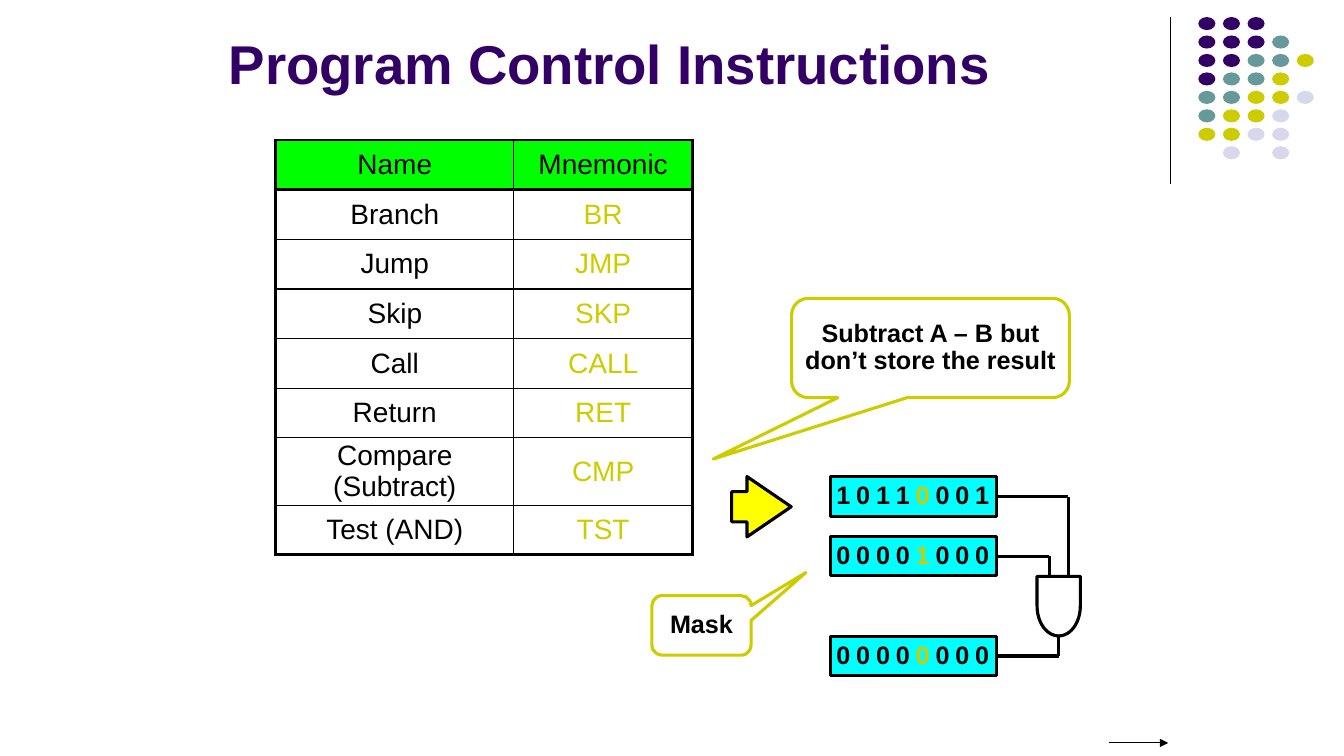
from itertools import pairwise

from lxml.etree import SubElement
from pptx import Presentation
from pptx.dml.color import RGBColor
from pptx.enum.shapes import MSO_CONNECTOR, MSO_SHAPE as Shape
from pptx.enum.text import MSO_ANCHOR as Anchor, PP_ALIGN as Align
from pptx.oxml.ns import qn
from pptx.util import Cm, Pt

COLORS = {
    "purple": "330066", "teal": "669999", "olive": "CCCC00", "pale": "D8D8EC",
    "black": "000000", "green": "00FF00", "cyan": "00FFFF", "yellow": "FFFF00",
}
DOT_ROWS = ["PPP", "PPPT", "PPTTO", "PTTO", "TTOOL", "TOOL", "OOLL", " L L"]
DOT_COLORS = {"P": "purple", "T": "teal", "O": "olive", "L": "pale"}
INSTRUCTIONS = [
    ("Name", "Mnemonic"), ("Branch", "BR"), ("Jump", "JMP"), ("Skip", "SKP"),
    ("Call", "CALL"), ("Return", "RET"), ("Compare (Subtract)", "CMP"), ("Test (AND)", "TST"),
]
TABLE_FONT = {"name": "Arial", "size": Pt(20), "bold": False}
LABEL_FONT = {"name": "Arial", "size": Pt(18), "bold": True}
TITLE_FONT = {"name": "Arial", "size": Pt(39), "bold": True}
THICK, THIN = 2.25, 1
TESTED_BIT = 4


def rgb(name):
    return RGBColor.from_string(COLORS[name])


def write(frame, text, font, color="black", align=Align.CENTER, spacing=None):
    """Fill a text frame with one paragraph."""
    paragraph = frame.paragraphs[0]
    paragraph.text = text
    paragraph.alignment = align
    paragraph.line_spacing = spacing
    for name, value in font.items():
        setattr(paragraph.font, name, value)
    paragraph.font.color.rgb = rgb(color)


def clear_margins(target):
    for side in ("left", "top", "right", "bottom"):
        setattr(target, f"margin_{side}", 0)


def add_figure(shapes, kind, box, fill=None, line=None, adjustments=()):
    """Add a preset shape; box is left, top, width, height in cm."""
    shape = shapes.add_shape(kind, *map(Cm, box))
    shape.shadow.inherit = False
    for index, value in enumerate(adjustments):
        shape.adjustments[index] = value
    if fill:
        shape.fill.solid()
        shape.fill.fore_color.rgb = rgb(fill)
    else:
        shape.fill.background()
    if line:
        shape.line.color.rgb = rgb(line)
        shape.line.width = Pt(THICK)
    else:
        shape.line.fill.background()
    return shape


def add_line(shapes, start, end, width, arrow=False):
    line = shapes.add_connector(MSO_CONNECTOR.STRAIGHT, *map(Cm, (*start, *end)))
    line.line.color.rgb = rgb("black")
    line.line.width = Pt(width)
    if arrow:
        SubElement(line.line._get_or_add_ln(), qn("a:tailEnd"), type="triangle")
    SubElement(line._element.spPr, qn("a:effectLst"))


def add_title(slide, box):
    title = slide.shapes.title
    title.left, title.top, title.width, title.height = map(Cm, box)
    title.text_frame.vertical_anchor = Anchor.BOTTOM
    title.text_frame.word_wrap = True
    write(title.text_frame, "Program Control Instructions", TITLE_FONT, "purple", Align.LEFT)


def add_dot_pattern(shapes, left, top):
    """Draw the corner rule and the dots to its right."""
    add_line(shapes, (left, top), (left, top + 4.22), 0.75)
    group = shapes.add_group_shape()
    for row, codes in enumerate(DOT_ROWS):
        for column, code in enumerate(codes):
            if code in DOT_COLORS:
                box = (left + 0.71 + 0.62 * column, top + 0.465 * row, 0.43, 0.33)
                add_figure(group.shapes, Shape.OVAL, box, DOT_COLORS[code])


def add_border(cell, side, width):
    properties = cell._tc.get_or_add_tcPr()
    line = SubElement(properties, qn(f"a:ln{side}"), w=str(Pt(width)))
    SubElement(SubElement(line, qn("a:solidFill")), qn("a:srgbClr"), val=COLORS["black"])


def format_cell(cell, row, column):
    last_row = len(INSTRUCTIONS) - 1
    thick_sides = {"L": column == 0, "R": column == 1, "T": row <= 1, "B": row in (0, last_row)}
    for side, thick in thick_sides.items():
        add_border(cell, side, THICK if thick else THIN)
    if row == 0:
        cell.fill.solid()
        cell.fill.fore_color.rgb = rgb("green")
    else:
        cell.fill.background()
    clear_margins(cell)
    cell.vertical_anchor = Anchor.MIDDLE
    color = "olive" if row and column else "black"
    write(cell.text_frame, INSTRUCTIONS[row][column], TABLE_FONT, color)


def add_instruction_table(shapes, box):
    rows = len(INSTRUCTIONS)
    table = shapes.add_table(rows, 2, *map(Cm, box)).table
    for column, width in zip(table.columns, (6, 4.5)):
        column.width = Cm(width)
    for row, (name, _) in enumerate(INSTRUCTIONS):
        table.rows[row].height = Cm(1.7 if name.startswith("Compare") else 1.25)
        for column in range(2):
            format_cell(table.cell(row, column), row, column)


def add_callout(shapes, box, text, pointer):
    callout = add_figure(shapes, Shape.ROUNDED_RECTANGULAR_CALLOUT, box,
                         line="olive", adjustments=(*pointer, 0.167))
    frame = callout.text_frame
    clear_margins(frame)
    frame.word_wrap = True
    frame.vertical_anchor = Anchor.MIDDLE
    write(frame, text, LABEL_FONT, spacing=0.9)


def add_register(shapes, left, top, bits):
    add_figure(shapes, Shape.RECTANGLE, (left, top, 4.18, 1), "cyan", "black")
    group = shapes.add_group_shape()
    for index, bit in enumerate(bits):
        box = (left + 0.5 * index, top, 0.5, 1)
        frame = group.shapes.add_textbox(*map(Cm, box)).text_frame
        clear_margins(frame)
        frame.word_wrap = True
        frame.vertical_anchor = Anchor.MIDDLE
        color = "olive" if index == TESTED_BIT else "black"
        write(frame, bit, LABEL_FONT, color, Align.RIGHT, 0.9)


def add_mask_circuit(shapes, left, top):
    """Draw two registers feeding an AND gate and the result register."""
    for offset, bits in ((0, "10110001"), (1.5, "00001000"), (4.02, "00000000")):
        add_register(shapes, left, top + offset, bits)
    gate = add_figure(shapes, Shape.FLOWCHART_DELAY, (left + 5, top + 2.72, 1.5, 1.09), line="black")
    gate.rotation = 90
    wires = [
        [(4.18, 0.51), (5.99, 0.51), (5.99, 2.52)],
        [(4.18, 2.01), (5.51, 2.01), (5.51, 2.52)],
        [(4.18, 4.52), (5.75, 4.52), (5.75, 4.02)],
    ]
    for wire in wires:
        points = [(left + x, top + y) for x, y in wire]
        for start, end in pairwise(points):
            add_line(shapes, start, end, THICK)


def main():
    presentation = Presentation()
    presentation.slide_width, presentation.slide_height = Cm(33.87), Cm(19.05)
    slide = presentation.slides.add_slide(presentation.slide_layouts[5])
    shapes = slide.shapes
    add_dot_pattern(shapes, 29.49, 0.43)
    add_title(slide, (5.51, 0.33, 20.96, 2.21))
    add_instruction_table(shapes, (6.95, 3.53, 10.5, 10.45))
    add_callout(shapes, (19.95, 7.52, 7, 2.5),
                "Subtract A – B but don’t store the result", (-0.782, 1.119))
    add_mask_circuit(shapes, 20.93, 12.01)
    add_callout(shapes, (16.43, 15.01, 2.5, 1.5), "Mask", (1.051, -0.887))
    add_line(shapes, (27.94, 18.72), (29.44, 18.72), 0.75, arrow=True)
    add_figure(shapes, Shape.RIGHT_ARROW, (18.44, 12.01, 1.5, 1.52),
               "yellow", "black", (0.5, 0.743))
    presentation.save("out.pptx")


if __name__ == "__main__":
    main()
